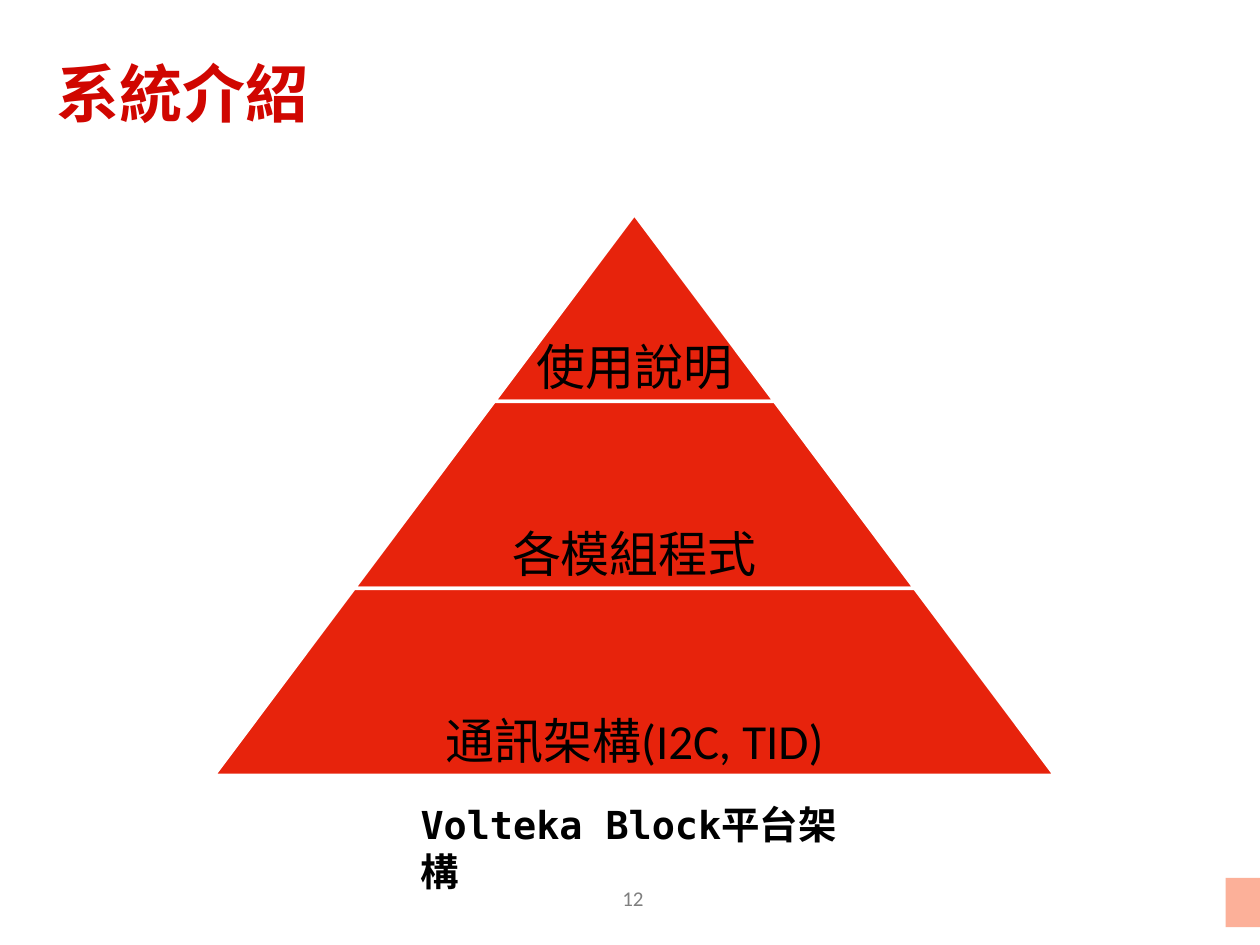
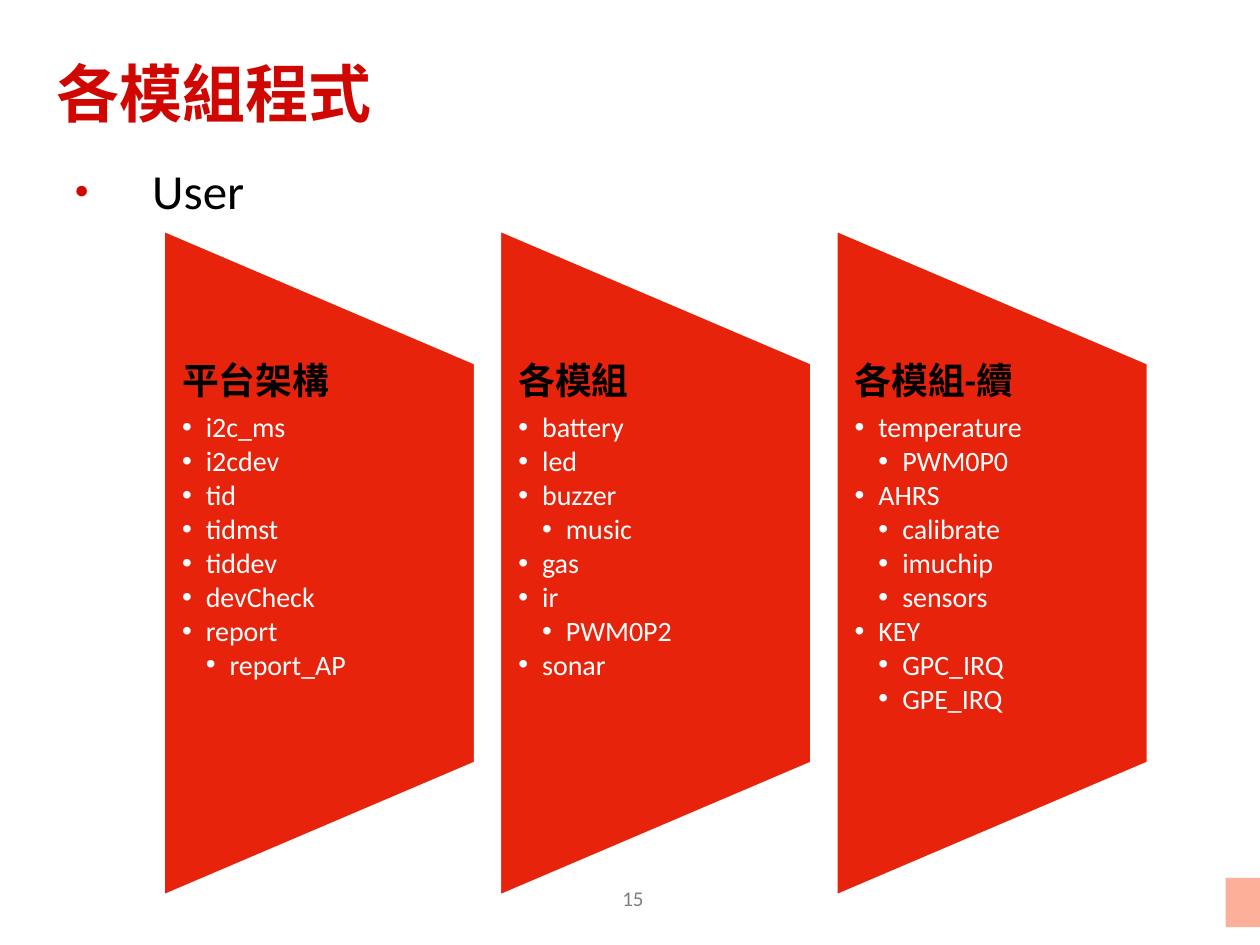
"""Builds two slides that present a module platform: a pyramid and three columns."""
from dataclasses import dataclass, field
from typing import Any, Optional

from lxml import etree
from pptx import Presentation
from pptx import util as u
from pptx.dml import color as dml
from pptx.enum import shapes, text
from pptx.oxml import ns


@dataclass(frozen=True)
class Theme:
    """Colours, fonts and type sizes of the deck."""
    red: str = "E7230C"
    title_red: str = "D00600"
    corner: str = "FCB099"
    white: str = "FFFFFF"
    black: str = "000000"
    grey: str = "7F7F7F"
    font: str = "Calibri"
    mono: str = "DejaVu Sans Mono"
    title_size: int = 36
    body_size: int = 28
    caption_size: int = 22
    heading_size: int = 21
    item_size: int = 16
    number_size: int = 12


THEME = Theme()


@dataclass(frozen=True)
class Box:
    """A rectangle in centimetres."""
    left: float
    top: float
    width: float
    height: float

    def lengths(self) -> list[u.Cm]:
        """Return the four lengths as python-pptx takes them."""
        return [u.Cm(value) for value in (self.left, self.top, self.width, self.height)]


@dataclass(frozen=True)
class Bullet:
    """A bullet character with its text indent in centimetres."""
    indent: float
    hanging: float
    character: str = "•"
    colour: Optional[str] = None
    percent: int = 100


@dataclass(frozen=True)
class Line:
    """One paragraph with its type and paragraph format."""
    words: str
    size: int
    colour: str = THEME.black
    bold: bool = False
    font: str = THEME.font
    bullet: Optional[Bullet] = None
    layout: dict[str, Any] = field(default_factory=dict)


@dataclass(frozen=True)
class Column:
    """A heading with items given as (level, name)."""
    heading: str
    items: tuple[tuple[int, str], ...]


CORNER = Box(24.71, 17.7, 0.74, 0.99)
TITLE = Box(0.89, 0.3, 23.6, 3.12)
NUMBER = Box(9.8, 17.65, 5.92, 1.02)
CAPTION = Box(8.23, 16.03, 9.07, 1.19)
BODY = Box(1.22, 3.12, 23.6, 13.41)

PYRAMID_CENTRE, PYRAMID_TOP = 12.79, 4.32
TIER_HEIGHT, TIER_STEP = 3.77, 5.65
TIERS = ("使用說明", "各模組程式", "通訊架構(I2C, TID)")

COLUMN_LEFT, COLUMN_PITCH, COLUMN_WIDTH = 3.29, 6.78, 6.3
COLUMN_MIDDLE, COLUMN_LENGTH, COLUMN_TEXT_HEIGHT = 11.35, 13.44, 8.08
ITEM_INDENT = 0.48
COLUMNS = (
    Column("平台架構", ((1, "i2c_ms"), (1, "i2cdev"), (1, "tid"), (1, "tidmst"),
                    (1, "tiddev"), (1, "devCheck"), (1, "report"), (2, "report_AP"))),
    Column("各模組", ((1, "battery"), (1, "led"), (1, "buzzer"), (2, "music"),
                   (1, "gas"), (1, "ir"), (2, "PWM0P2"), (1, "sonar"))),
    Column("各模組-續", ((1, "temperature"), (2, "PWM0P0"), (1, "AHRS"),
                     (2, "calibrate"), (2, "imuchip"), (2, "sensors"),
                     (1, "KEY"), (2, "GPC_IRQ"), (2, "GPE_IRQ"))),
)


def apply(target: Any, values: dict[str, Any]) -> None:
    """Set each named attribute of the target."""
    for name, value in values.items():
        setattr(target, name, value)


def add_bullet(paragraph: Any, bullet: Bullet) -> None:
    """Give a paragraph a hanging bullet."""
    properties = paragraph._p.get_or_add_pPr()
    properties.set("marL", str(int(u.Cm(bullet.indent))))
    properties.set("indent", str(-int(u.Cm(bullet.hanging))))
    if bullet.colour:
        colour = etree.SubElement(properties, ns.qn("a:buClr"))
        etree.SubElement(colour, ns.qn("a:srgbClr"), val=bullet.colour)
    etree.SubElement(properties, ns.qn("a:buSzPct"), val=str(bullet.percent * 1000))
    etree.SubElement(properties, ns.qn("a:buFont"), typeface="Arial")
    etree.SubElement(properties, ns.qn("a:buChar"), char=bullet.character)


def write(shape: Any, lines: list[Line], **frame_values: Any) -> None:
    """Fill a shape's text frame with formatted lines."""
    frame = shape.text_frame
    apply(frame, {"word_wrap": True, **frame_values})
    for index, line in enumerate(lines):
        paragraph = frame.add_paragraph() if index else frame.paragraphs[0]
        apply(paragraph, line.layout)
        if line.bullet:
            add_bullet(paragraph, line.bullet)
        run = paragraph.add_run()
        run.text = line.words
        apply(run.font, {"name": line.font, "size": u.Pt(line.size), "bold": line.bold})
        run.font.color.rgb = dml.RGBColor.from_string(line.colour)


def add_text(slide: Any, box: Box, lines: list[Line], **frame_values: Any) -> None:
    """Add a text box."""
    write(slide.shapes.add_textbox(*box.lengths()), lines, **frame_values)


def add_block(slide: Any, kind: Any, box: Box, fill: str, outlined: bool = True) -> Any:
    """Add a flat filled shape, with a white outline if asked."""
    shape = slide.shapes.add_shape(kind, *box.lengths())
    shape.shadow.inherit = False
    shape.fill.solid()
    shape.fill.fore_color.rgb = dml.RGBColor.from_string(fill)
    if outlined:
        shape.line.color.rgb = dml.RGBColor.from_string(THEME.white)
        shape.line.width = u.Pt(2)
    else:
        shape.line.fill.background()
    return shape


def add_slide(presentation: Any, title: str, number: int) -> Any:
    """Add a slide with the shared corner, title and page number."""
    slide = presentation.slides.add_slide(presentation.slide_layouts[6])
    add_block(slide, shapes.MSO_SHAPE.RECTANGLE, CORNER, THEME.corner, outlined=False)
    middle = text.MSO_ANCHOR.MIDDLE
    add_text(slide, TITLE, [Line(title, THEME.title_size, THEME.title_red, bold=True)],
             vertical_anchor=middle)
    centred = {"alignment": text.PP_ALIGN.CENTER, "line_spacing": 0.8}
    add_text(slide, NUMBER, [Line(str(number), THEME.number_size, THEME.grey, layout=centred)],
             vertical_anchor=middle)
    return slide


def add_tier(slide: Any, index: int, label: str) -> None:
    """Add one tier of the pyramid, counted from the tip."""
    width = TIER_STEP * (index + 1)
    box = Box(PYRAMID_CENTRE - width / 2, PYRAMID_TOP + TIER_HEIGHT * index, width, TIER_HEIGHT)
    tier = add_block(slide, shapes.MSO_SHAPE.TRAPEZOID, box, THEME.red)
    tier.adjustments[0] = TIER_STEP / 2 / TIER_HEIGHT
    layout = {"alignment": text.PP_ALIGN.CENTER, "line_spacing": 0.9}
    margins = {f"margin_{side}": u.Cm(0.1) for side in ("left", "top", "right", "bottom")}
    write(tier, [Line(label, THEME.body_size, layout=layout)],
          word_wrap=False, vertical_anchor=text.MSO_ANCHOR.BOTTOM, **margins)


def add_column(slide: Any, index: int, column: Column) -> None:
    """Add one slanted panel with its heading and bulleted items."""
    left = COLUMN_LEFT + COLUMN_PITCH * index
    panel = Box(left + (COLUMN_WIDTH - COLUMN_LENGTH) / 2, COLUMN_MIDDLE - COLUMN_WIDTH / 2,
                COLUMN_LENGTH, COLUMN_WIDTH)
    add_block(slide, shapes.MSO_SHAPE.FLOWCHART_MANUAL_OPERATION, panel, THEME.red).rotation = 270
    lines = [Line(column.heading, THEME.heading_size, bold=True,
                  layout={"line_spacing": 0.9, "space_after": u.Pt(6.6)})]
    lines += [Line(name, THEME.item_size, THEME.white,
                   bullet=Bullet(ITEM_INDENT * level, ITEM_INDENT),
                   layout={"level": level, "line_spacing": 0.9, "space_after": u.Pt(2.1)})
              for level, name in column.items]
    words = Box(left, COLUMN_MIDDLE - COLUMN_TEXT_HEIGHT / 2, COLUMN_WIDTH, COLUMN_TEXT_HEIGHT)
    add_text(slide, words, lines, margin_left=u.Cm(0.38), margin_right=u.Cm(0.38),
             margin_top=0, margin_bottom=0)


def build_overview(presentation: Any) -> None:
    """Build the pyramid slide."""
    slide = add_slide(presentation, "系統介紹", 12)
    for index, label in enumerate(TIERS):
        add_tier(slide, index, label)
    add_text(slide, CAPTION, [Line("Volteka Block平台架構", THEME.caption_size,
                                   bold=True, font=THEME.mono)])


def build_modules(presentation: Any) -> None:
    """Build the slide with the module columns."""
    slide = add_slide(presentation, "各模組程式", 15)
    bullet = Bullet(1.6, 1.57, "●", THEME.title_red, 50)
    add_text(slide, BODY, [Line("User", THEME.body_size, bullet=bullet,
                                layout={"space_before": u.Pt(7)})])
    for index, column in enumerate(COLUMNS):
        add_column(slide, index, column)


def main() -> None:
    """Build and save the deck."""
    presentation = Presentation()
    apply(presentation, {"slide_width": u.Cm(25.4), "slide_height": u.Cm(19.05)})
    build_overview(presentation)
    build_modules(presentation)
    presentation.save("out.pptx")


if __name__ == "__main__":
    main()
